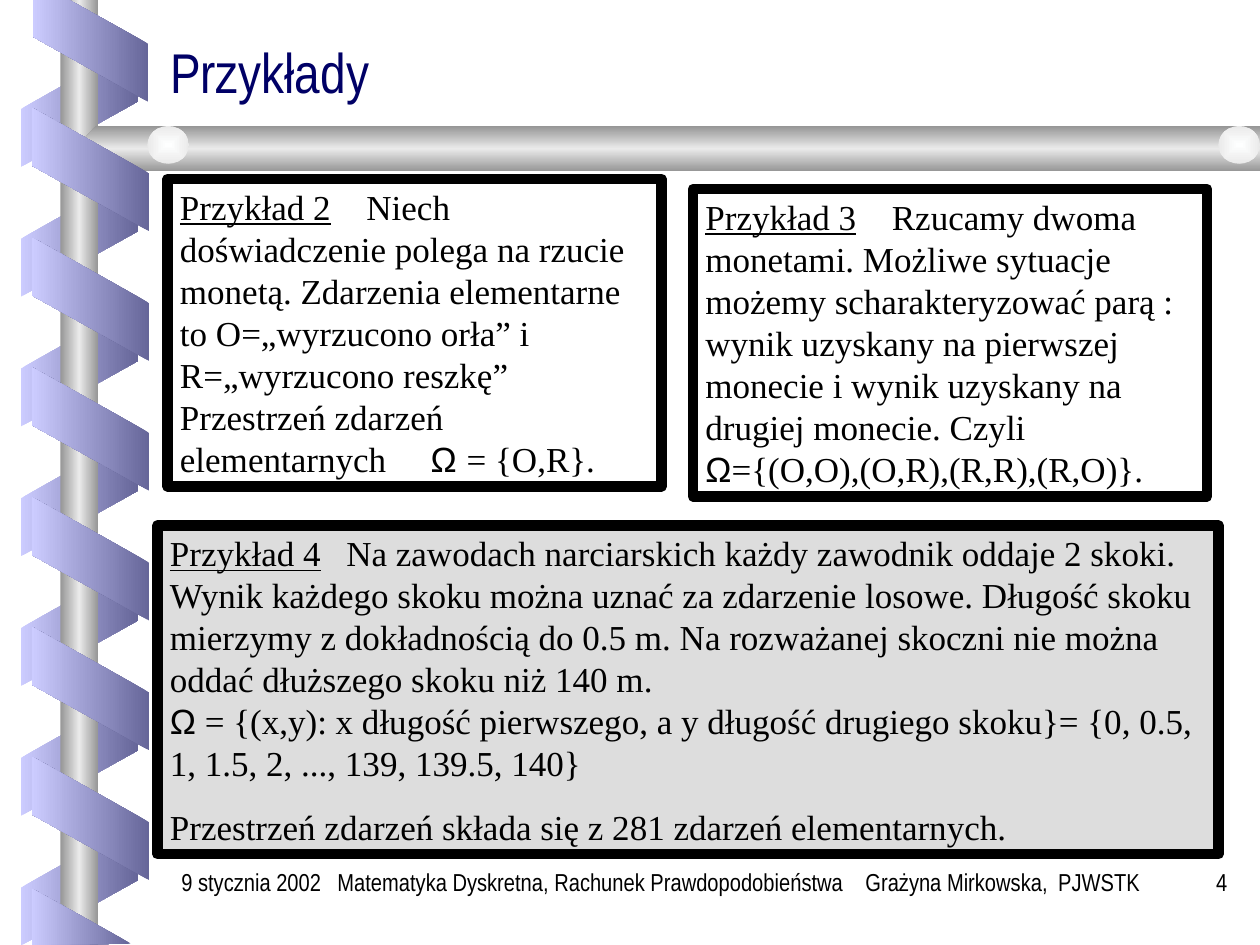
"""Build the slide of worked examples on sample spaces."""
from dataclasses import dataclass

from lxml.etree import SubElement
from pptx import Presentation
from pptx.dml.color import RGBColor
from pptx.enum.shapes import MSO_SHAPE
from pptx.enum.text import MSO_ANCHOR, MSO_AUTO_SIZE, PP_ALIGN
from pptx.oxml.ns import qn
from pptx.util import Inches, Pt

SERIF, SANS, SLIM = "Times New Roman", "Arial", "Arial Narrow"
LIGHT, DARK = "CCCCFF", "666699"
STEEL = ["969696", "EAEAEA", "969696"]
PITCH = 1.03


@dataclass
class Part:
    """A run of text; a lone newline stands for a line break."""
    text: str
    font: str = SERIF
    under: bool = False


@dataclass
class Card:
    """A framed example with its place, tab stops and paragraphs."""
    place: tuple[float, ...]
    tabs: list[float]
    paras: list[list[Part]]
    fill: str = ""


@dataclass
class Note:
    """One text of the footer line."""
    text: str
    left: float
    width: float
    align: PP_ALIGN = PP_ALIGN.LEFT
    tabs: tuple[float, ...] = ()


OMEGA = Part("Ω", SANS)
BREAK = Part("\n")
CARDS = [
    Card((1.33, 1.42, 3.92, 2.44), [1.48, 1.99], [[
        Part("Przykład 2", under=True),
        Part("\tNiech doświadczenie polega na rzucie monetą. Zdarzenia elementarne "
             "to O=„wyrzucono orła” i R=„wyrzucono reszkę” "
             "Przestrzeń zdarzeń elementarnych\t"),
        Part("Ω ", SANS), Part("= {O,R}.")]]),
    Card((5.5, 1.5, 4.08, 2.44), [1.48], [[
        Part("Przykład 3", under=True),
        Part("\tRzucamy dwoma monetami. Możliwe sytuacje możemy scharakteryzować "
             "parą : wynik uzyskany na pierwszej monecie i wynik uzyskany na "
             "drugiej monecie. Czyli "),
        BREAK, OMEGA, Part("={(O,O),(O,R),(R,R),(R,O)}.")]]),
    Card((1.25, 4.17, 8.42, 2.61), [1.4], [[
        Part("Przykład 4\t", under=True),
        Part("Na zawodach narciarskich każdy zawodnik oddaje 2 skoki. Wynik każdego "
             "skoku można uznać za zdarzenie losowe. Długość skoku mierzymy z "
             "dokładnością do 0.5 m. Na rozważanej skoczni nie można oddać "
             "dłuższego skoku niż 140 m. "),
        BREAK, OMEGA,
        Part(" = {(x,y): x długość pierwszego, a y długość drugiego skoku}= "
             "{0, 0.5, 1, 1.5, 2, ..., 139, 139.5, 140}")],
        [Part("Przestrzeń zdarzeń składa się z 281 zdarzeń elementarnych.")]],
        "DDDDDD"),
]
NOTES = [
    Note("9 stycznia 2002", 1.34, 1.41),
    Note("Matematyka Dyskretna, Rachunek Prawdopodobieństwa\tGrażyna Mirkowska,\tPJWSTK",
         2.58, 6.58, tabs=(4.19, 5.72)),
    Note("4", 9, 0.84, PP_ALIGN.RIGHT),
]


def color(text: str) -> RGBColor:
    """Turn a hex string into a colour."""
    return RGBColor.from_string(text)


def shade(shape, tones: list[str], angle: int | None = 180) -> None:
    """Give a shape a gradient without outline, centred if angle is None."""
    shape.shadow.inherit = False
    shape.line.fill.background()
    shape.fill.gradient()
    grad = shape._element.spPr.find(qn("a:gradFill"))
    for child in list(grad):
        grad.remove(child)
    grad.set("rotWithShape", "0")
    stops = SubElement(grad, qn("a:gsLst"))
    for i, tone in enumerate(tones):
        stop = SubElement(stops, qn("a:gs"), pos=str(100000 * i // (len(tones) - 1)))
        SubElement(stop, qn("a:srgbClr"), val=tone)
    if angle is None:
        route = SubElement(grad, qn("a:path"), path="rect")
        SubElement(route, qn("a:fillToRect"), l="50000", t="50000", r="50000", b="50000")
    else:
        SubElement(grad, qn("a:lin"), ang=str(angle * 60000), scaled="0")


def solid(slide, kind: MSO_SHAPE, place: tuple[float, ...]):
    """Add a preset shape at a place in inches."""
    return slide.shapes.add_shape(kind, *map(Inches, place))


def band(slide, left: float, top: float, turn: int, tones: list[str]) -> None:
    """Draw one slanted ribbon piece."""
    piece = solid(slide, MSO_SHAPE.PARALLELOGRAM, (left, top, 0.98, 0.93))
    piece.adjustments[0] = 0.56
    piece.rotation = turn
    if turn == 90:
        piece._element.spPr.xfrm.set("flipH", "1")
    shade(piece, tones)


def outline(slide, dots: list[tuple[float, float]], tones: list[str], angle: int = 180) -> None:
    """Draw a closed polygon with a gradient."""
    spots = [(Inches(x), Inches(y)) for x, y in dots]
    path = slide.shapes.build_freeform(*spots[0])
    path.add_line_segments(spots[1:], close=True)
    shade(path.convert_to_shape(), tones, angle)


def set_tabs(para, stops) -> None:
    """Set the left tab stops of a paragraph in inches."""
    if stops:
        tabs = SubElement(para._p.get_or_add_pPr(), qn("a:tabLst"))
        for stop in stops:
            SubElement(tabs, qn("a:tab"), pos=str(Inches(stop)), algn="l")


def add_run(para, part: Part, size: int, tone: str = "000000") -> None:
    """Add one run or line break to a paragraph."""
    if part == BREAK:
        para.add_line_break()
        return
    run = para.add_run()
    run.text = part.text
    run.font.name, run.font.size = part.font, Pt(size)
    run.font.underline = part.under
    run.font.color.rgb = color(tone)


def add_card(slide, card: Card) -> None:
    """Draw a framed example."""
    box = solid(slide, MSO_SHAPE.RECTANGLE, card.place)
    box.shadow.inherit = False
    if card.fill:
        box.fill.solid()
        box.fill.fore_color.rgb = color(card.fill)
    else:
        box.fill.background()
    box.line.color.rgb, box.line.width = color("000000"), Pt(6)
    frame = box.text_frame
    frame.word_wrap, frame.vertical_anchor = True, MSO_ANCHOR.TOP
    frame.auto_size = MSO_AUTO_SIZE.SHAPE_TO_FIT_TEXT
    for i, parts in enumerate(card.paras):
        para = frame.add_paragraph() if i else frame.paragraphs[0]
        para.alignment = PP_ALIGN.LEFT
        if i:
            para.space_before = Pt(12.5)
        set_tabs(para, card.tabs)
        for part in parts:
            add_run(para, part, 20)


def add_note(slide, note: Note) -> None:
    """Draw one footer text."""
    place = map(Inches, (note.left, 6.83, note.width, 0.5))
    frame = slide.shapes.add_textbox(*place).text_frame
    frame.word_wrap = True
    para = frame.paragraphs[0]
    para.alignment = note.align
    set_tabs(para, note.tabs)
    add_run(para, Part(note.text, SLIM), 14)


def add_spine(slide) -> None:
    """Draw the ribbon wound round the pole, and the bar."""
    for i in range(7):
        band(slide, 0.14, 0.37 + PITCH * i, 90, [LIGHT, DARK])
    shade(solid(slide, MSO_SHAPE.RECTANGLE, (0.48, 0, 0.3, 7.5)), STEEL)
    outline(slide, [(10, 1), (0.76, 1), (0.6, 1.18), (0.76, 1.36), (10, 1.36)], STEEL, 90)
    for left in (1.17, 9.67):
        shade(solid(slide, MSO_SHAPE.OVAL, (left, 1, 0.33, 0.3)), ["FEFFFF", "EAEAEA"], None)
    for i in range(6):
        band(slide, 0.23, 0.88 + PITCH * i, 270, [DARK, LIGHT])
    outline(slide, [(0.26, 0), (0.26, 0.29), (1.18, 0.81), (1.18, 0.35), (0.55, 0)], [DARK, LIGHT])
    outline(slide, [(1.04, 7.49), (0.25, 7.05), (0.25, 7.5)], [DARK, LIGHT])


def main() -> None:
    """Build and save the slide."""
    deck = Presentation()
    deck.slide_width, deck.slide_height = Inches(10), Inches(7.5)
    slide = deck.slides.add_slide(deck.slide_layouts[5])
    add_spine(slide)
    title = slide.shapes.title
    title.left, title.top, title.width, title.height = map(Inches, (1.25, 0.25, 8.5, 0.63))
    frame = title.text_frame
    frame.auto_size, frame.vertical_anchor = MSO_AUTO_SIZE.NONE, MSO_ANCHOR.BOTTOM
    para = frame.paragraphs[0]
    para.alignment, para.line_spacing = PP_ALIGN.LEFT, 0.8
    add_run(para, Part("Przykłady", SLIM), 32, "000066")
    for card in CARDS:
        add_card(slide, card)
    for note in NOTES:
        add_note(slide, note)
    deck.save("out.pptx")


if __name__ == "__main__":
    main()
